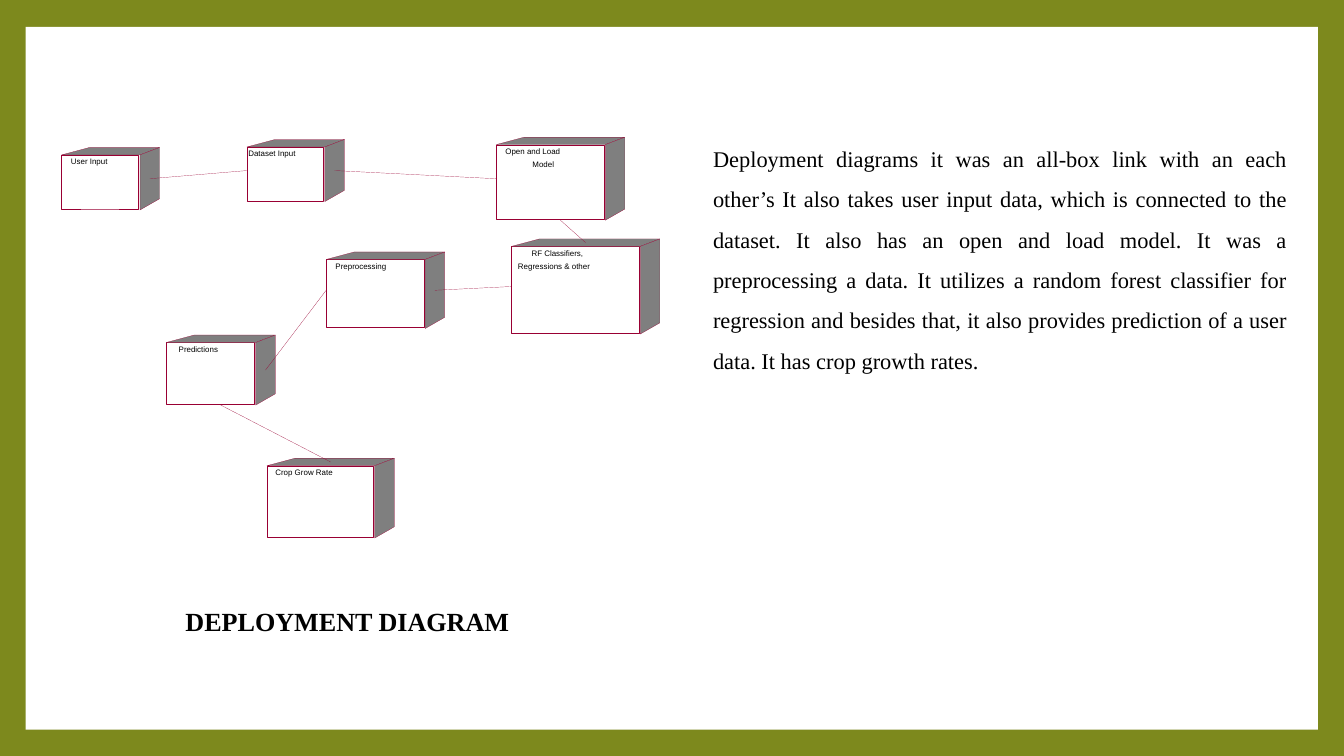
"""Build the deployment diagram slide: linked cubes, a title and a description."""
from lxml.etree import SubElement
from pptx import Presentation
from pptx.dml.color import RGBColor
from pptx.enum.shapes import MSO_CONNECTOR, MSO_SHAPE
from pptx.enum.text import MSO_ANCHOR, PP_ALIGN
from pptx.oxml.ns import qn
from pptx.util import Pt

TITLE = "DEPLOYMENT DIAGRAM"
DESCRIPTION = (
    "Deployment diagrams it was an all-box link with an each other’s It also takes "
    "user input data, which is connected to the dataset. It also has an open and load "
    "model. It was a preprocessing a data. It utilizes a random forest classifier for "
    "regression and besides that, it also provides prediction of a user data. It has "
    "crop growth rates."
)
CUBES = {
    "classifiers": ((548, 256, 707, 358), [("RF Classifiers,", 21.5), ("Regressions & other", 7)]),
    "user": ((66, 158, 171, 225), [("User Input", 10)]),
    "dataset": ((264.5, 149.5, 369, 216), [("Dataset Input", 1.5)]),
    "preprocessing": ((349.5, 270, 476.5, 352), [("Preprocessing", 10)]),
    "predictions": ((178, 359, 295, 434), [("Predictions", 13.5)]),
    "crop": ((286, 491, 422.5, 576.5), [("Crop Grow Rate", 9)]),
    "model": ((531.5, 147, 669.5, 236), [("Open and Load", 10), ("Model", 39)]),
}
LINKS = [
    ("user", "right", "dataset", "left"),
    ("dataset", "right", "model", "left"),
    ("model", "bottom", "classifiers", "top"),
    ("classifiers", "left", "preprocessing", "right"),
    ("preprocessing", "left", "predictions", "right"),
    ("predictions", "bottom", "crop", "top"),
]
OLIVE, WHITE, BLACK, GREY, CRIMSON = "7D891D", "FFFFFF", "000000", "7F7F7F", "990033"
DEPTH, LID, SLANT, RISE, GAP = 21, 8, 30, 12, 1.5
LABEL_TOP, LABEL_STEP = 9.5, 14


def color(hex_code):
    return RGBColor.from_string(hex_code)


def write(frame, text, *, size, font, bold=False, align=PP_ALIGN.LEFT, spacing=1.0, after=0, inset=(0, 0)):
    frame.word_wrap = True
    frame.vertical_anchor = MSO_ANCHOR.TOP
    frame.margin_left = frame.margin_right = Pt(inset[0])
    frame.margin_top = frame.margin_bottom = Pt(inset[1])
    frame.text = text
    paragraph = frame.paragraphs[0]
    properties = paragraph._p.get_or_add_pPr()
    properties.set("marL", "0")
    properties.set("indent", "0")
    SubElement(properties, qn("a:buNone"))
    paragraph.alignment = align
    paragraph.line_spacing = spacing
    paragraph.space_before, paragraph.space_after = Pt(0), Pt(after)
    paragraph.font.name, paragraph.font.size, paragraph.font.bold = font, Pt(size), bold
    paragraph.font.color.rgb = color(BLACK)


def place(part, left, top, width, height):
    part.left, part.top, part.width, part.height = Pt(left), Pt(top), Pt(width), Pt(height)


def outline(part):
    part.line.color.rgb = color(CRIMSON)
    part.line.width = Pt(0.21)


def add_face(shapes, corners):
    points = [(Pt(x), Pt(y)) for x, y in corners]
    builder = shapes.build_freeform(*points[0])
    builder.add_line_segments(points[1:], close=True)
    face = builder.convert_to_shape()
    face.shadow.inherit = False
    face.fill.solid()
    face.fill.fore_color.rgb = color(GREY)
    outline(face)


def add_cube(shapes, bounds, labels):
    left, top, right, bottom = bounds
    edge, lid = right - DEPTH, top + LID
    front = shapes.add_shape(MSO_SHAPE.RECTANGLE, 0, 0, 0, 0)
    place(front, left, lid, edge - GAP - left, bottom - 1 - lid)
    front.shadow.inherit = False
    front.fill.background()
    outline(front)
    add_face(shapes, [(left + SLANT, top), (right, top), (edge, lid), (left, lid)])
    add_face(shapes, [(right, top), (right, bottom - RISE), (edge, bottom), (edge, lid)])
    for row, (label, offset) in enumerate(labels):
        caption = shapes.add_textbox(0, 0, 0, 0)
        place(caption, left + offset, top + LABEL_TOP + row * LABEL_STEP, right - left, 16.5)
        write(caption.text_frame, label, size=8.5, font="Arial", spacing=1.07, after=8)


def anchor(cube, side):
    left, top, right, bottom = CUBES[cube][0]
    middle_x, middle_y = (left + right) / 2, (top + bottom) / 2
    return {
        "left": (left, middle_y),
        "right": (right - DEPTH / 2, middle_y),
        "top": (middle_x, top + LID / 2),
        "bottom": (middle_x, bottom),
    }[side]


def add_link(shapes, start, end):
    link = shapes.add_connector(MSO_CONNECTOR.STRAIGHT, *(Pt(v) for v in start + end))
    outline(link)
    SubElement(link.element.spPr, qn("a:effectLst"))


def main():
    deck = Presentation()
    deck.slide_width, deck.slide_height = Pt(1440), Pt(810)
    slide = deck.slides.add_slide(deck.slide_layouts[1])
    slide.background.fill.solid()
    slide.background.fill.fore_color.rgb = color(OLIVE)
    shapes = slide.shapes

    panel = shapes.add_shape(MSO_SHAPE.RECTANGLE, 0, 0, 0, 0)
    place(panel, 27.4, 28.8, 1384.6, 753)
    panel.shadow.inherit = False
    panel.fill.solid()
    panel.fill.fore_color.rgb = color(WHITE)
    panel.line.fill.background()
    shapes.title.element.addprevious(panel.element)

    for bounds, labels in CUBES.values():
        add_cube(shapes, bounds, labels)
    for source, source_side, target, target_side in LINKS:
        add_link(shapes, anchor(source, source_side), anchor(target, target_side))

    place(shapes.title, 191.5, 644.5, 777, 41)
    write(shapes.title.text_frame, TITLE, size=28, font="Times New Roman", bold=True, inset=(7.2, 3.6))
    description = slide.placeholders[1]
    place(description, 756.75, 137.5, 629.25, 263.5)
    write(description.text_frame, DESCRIPTION, size=24, font="Times New Roman",
          align=PP_ALIGN.JUSTIFY, spacing=1.5, after=9.6, inset=(7.2, 3.6))
    deck.save("out.pptx")


if __name__ == "__main__":
    main()
